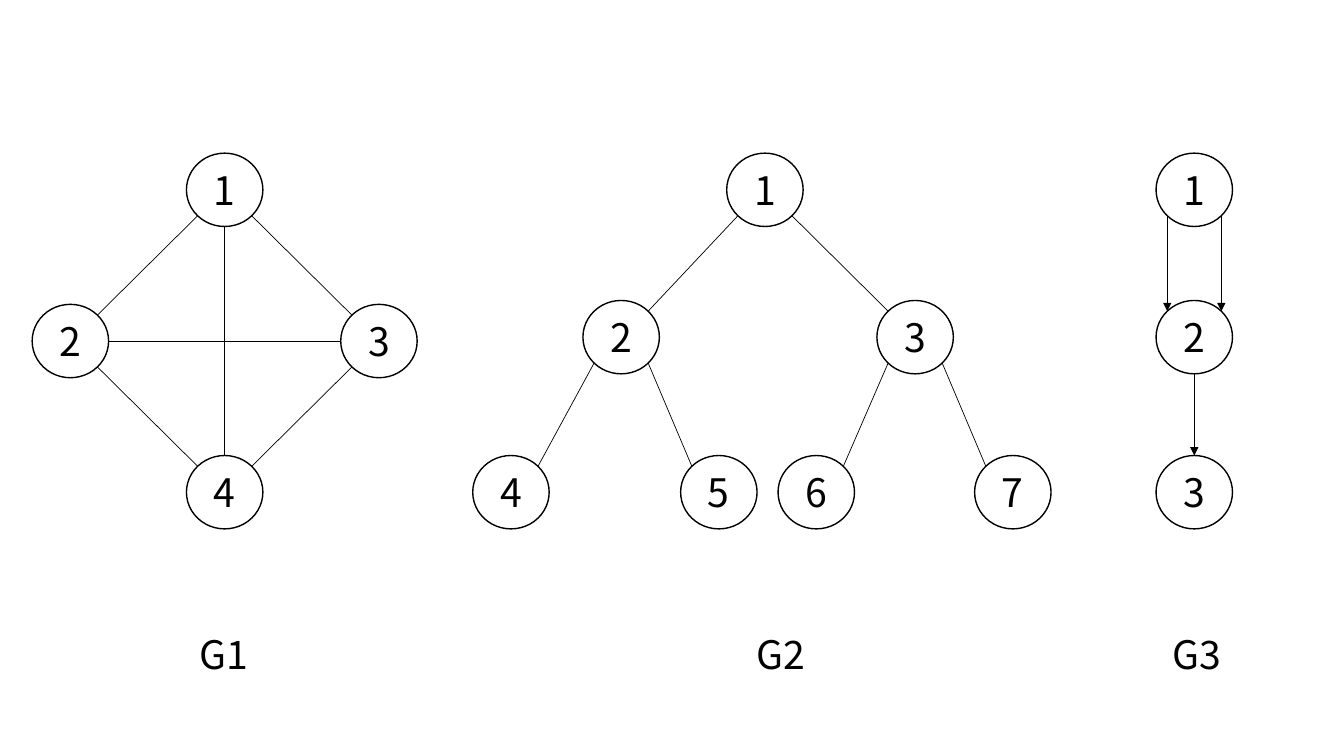
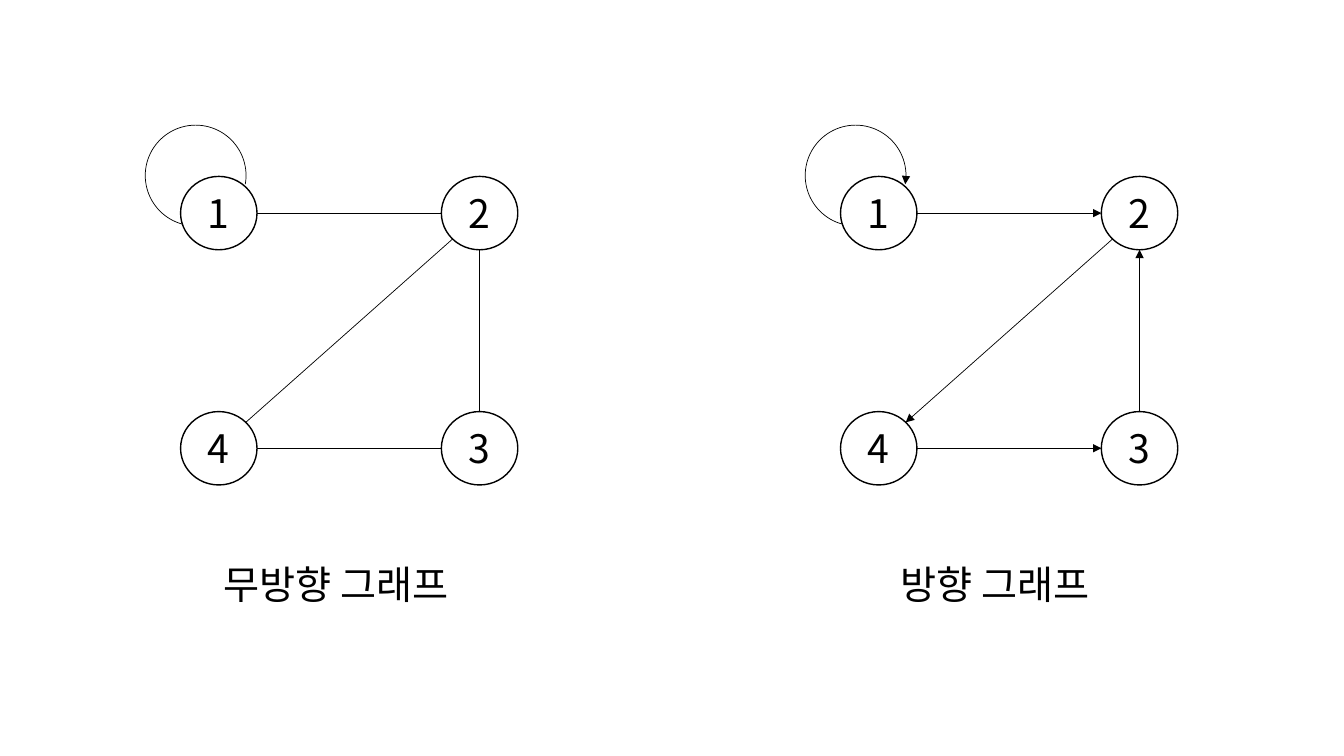
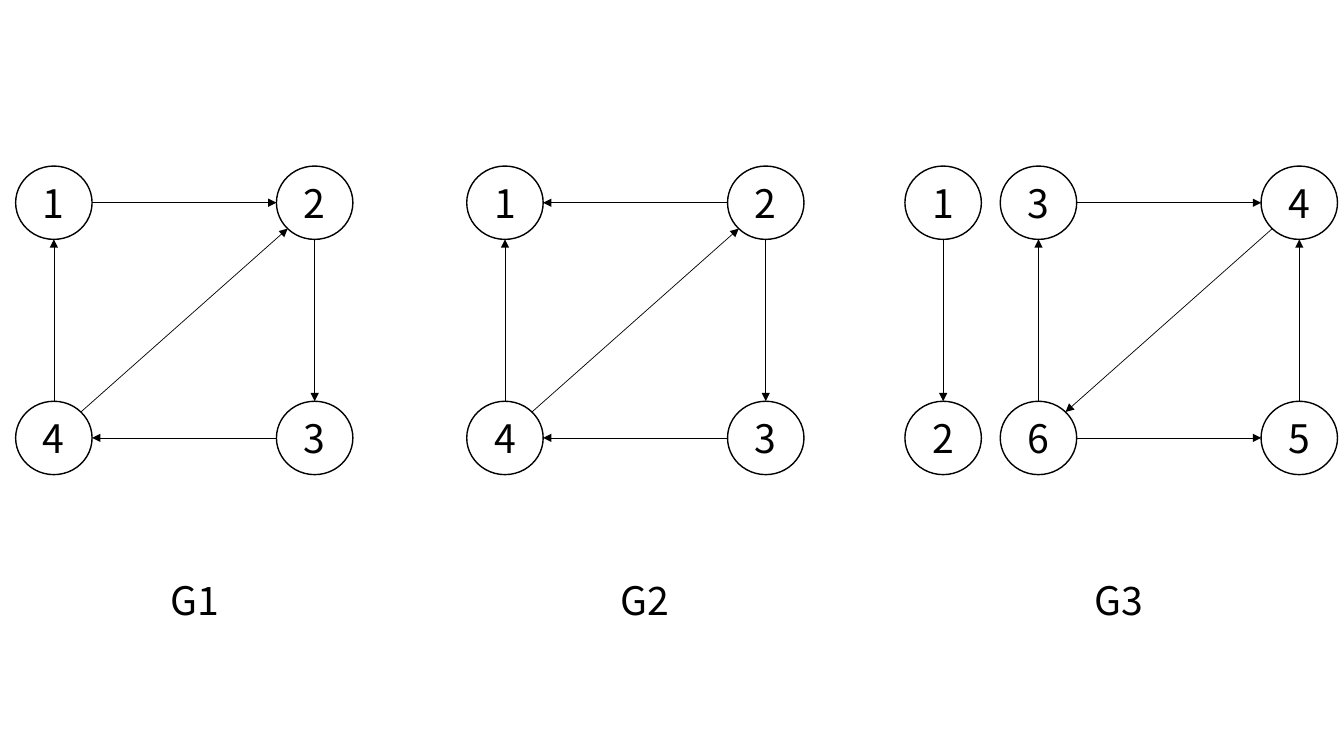
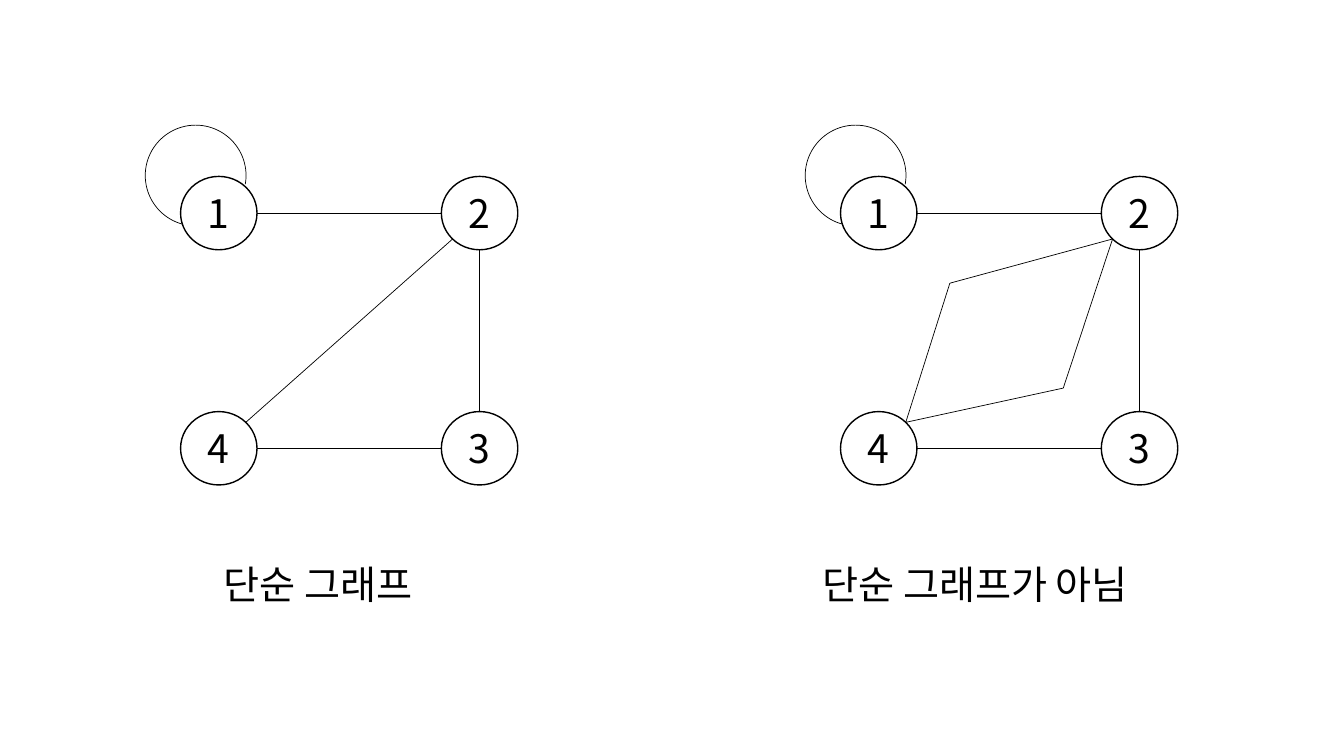
from dataclasses import dataclass
from typing import Optional

import lxml.etree
import pptx
import pptx.dml.color
import pptx.enum.shapes
import pptx.enum.text
import pptx.oxml.ns
import pptx.util

Pt = pptx.util.Pt
qn = pptx.oxml.ns.qn
Point = tuple[float, float]

FONT = "Noto Sans CJK KR"
FONT_SIZE = 28
INK = "000000"
NODE_WIDTH, NODE_HEIGHT = 54.6, 52.4
NODE_LINE, EDGE_LINE = 1, 0.5
SQUARE_STEP_X, SQUARE_STEP_Y = 186.3, 168
LOOP_OFFSET_X, LOOP_OFFSET_Y, LOOP_SIZE = -25.2, -36.6, 72
LOOP_ANGLES = (63.579, 5.97)
CAPTION_HEIGHT = 41

# Connection sites of an ellipse, by direction from its centre
SITES = {(0, -1): 0, (-1, -1): 1, (-1, 0): 2, (-1, 1): 3,
         (0, 1): 4, (1, 1): 5, (1, 0): 6, (1, -1): 7}


@dataclass(frozen=True)
class Edge:
    """side moves a parallel edge left (-1) or right (1); via bends the edge."""
    source: str
    target: str
    side: int = 0
    via: Optional[Point] = None


@dataclass(frozen=True)
class Caption:
    text: str
    left: float
    top: float
    width: float = 49.7


@dataclass(frozen=True)
class Graph:
    nodes: dict[str, Point]
    edges: list[Edge]
    caption: Caption
    directed: bool = False
    loop_on: Optional[str] = None


@dataclass(frozen=True)
class Anchor:
    """An end of a line: a point, and the node and site it is joined to, if any."""
    point: Point
    node: Optional[object] = None
    site: int = 0


def square(left: float, top: float, labels: str = "1234") -> dict[str, Point]:
    """Place four nodes clockwise from the top left."""
    right, bottom = left + SQUARE_STEP_X, top + SQUARE_STEP_Y
    corners = [(left, top), (right, top), (right, bottom), (left, bottom)]
    return dict(zip(labels, corners))


def edges(pairs: str) -> list[Edge]:
    """Read edges from pairs of labels, such as "12 23"."""
    return [Edge(source, target) for source, target in pairs.split()]


def rgb(colour: str) -> pptx.dml.color.RGBColor:
    return pptx.dml.color.RGBColor.from_string(colour)


def set_line(shape, width: float, arrow: bool = False) -> None:
    shape.line.color.rgb = rgb(INK)
    shape.line.width = Pt(width)
    if arrow:
        outline = shape._element.spPr.find(qn("a:ln"))
        lxml.etree.SubElement(outline, qn("a:tailEnd"), type="triangle")


def add_text(frame, text: str) -> None:
    run = frame.paragraphs[0].add_run()
    run.text = text
    run.font.size = Pt(FONT_SIZE)
    run.font.name = FONT
    run.font.color.rgb = rgb(INK)
    latin = run._r.rPr.find(qn("a:latin"))
    east_asian = lxml.etree.Element(qn("a:ea"), typeface=FONT)
    latin.addnext(east_asian)


def add_outline(slide, preset, left: float, top: float, width: float, height: float):
    shape = slide.shapes.add_shape(preset, Pt(left), Pt(top), Pt(width), Pt(height))
    shape.shadow.inherit = False
    shape.fill.background()
    return shape


def add_node(slide, label: str, position: Point):
    node = add_outline(slide, pptx.enum.shapes.MSO_SHAPE.OVAL, *position,
                       NODE_WIDTH, NODE_HEIGHT)
    set_line(node, NODE_LINE)
    node.text_frame.vertical_anchor = pptx.enum.text.MSO_ANCHOR.MIDDLE
    node.text_frame.paragraphs[0].alignment = pptx.enum.text.PP_ALIGN.CENTER
    add_text(node.text_frame, label)
    return node


def add_loop(slide, position: Point, directed: bool) -> None:
    left, top = position
    loop = add_outline(slide, pptx.enum.shapes.MSO_SHAPE.ARC, left + LOOP_OFFSET_X,
                       top + LOOP_OFFSET_Y, LOOP_SIZE, LOOP_SIZE)
    for index, angle in enumerate(LOOP_ANGLES):
        loop.adjustments[index] = angle
    set_line(loop, EDGE_LINE, directed)


def add_caption(slide, caption: Caption) -> None:
    box = slide.shapes.add_textbox(Pt(caption.left), Pt(caption.top),
                                   Pt(caption.width), Pt(CAPTION_HEIGHT))
    box.text_frame.word_wrap = False
    box.text_frame.auto_size = pptx.enum.text.MSO_AUTO_SIZE.SHAPE_TO_FIT_TEXT
    add_text(box.text_frame, caption.text)


def sign(value: float) -> int:
    return (value > 0) - (value < 0)


def anchor_on(node, position: Point, direction: tuple[int, int]) -> Anchor:
    """Find the point on a node's outline that lies in a direction."""
    across, down = direction
    reach = 0.5 ** 0.5 if across and down else 1
    point = (position[0] + NODE_WIDTH / 2 * (1 + reach * across),
             position[1] + NODE_HEIGHT / 2 * (1 + reach * down))
    return Anchor(point, node, SITES[direction])


def add_line(slide, start: Anchor, end: Anchor, arrow: bool) -> None:
    line = slide.shapes.add_connector(
        pptx.enum.shapes.MSO_CONNECTOR.STRAIGHT,
        *(Pt(value) for value in start.point + end.point))
    set_line(line, EDGE_LINE, arrow)
    lxml.etree.SubElement(line._element.spPr, qn("a:effectLst"))
    # begin_connect and end_connect know only the four sites of a rectangle
    joints = line._element.find(".//" + qn("p:cNvCxnSpPr"))
    for tag, anchor in (("a:stCxn", start), ("a:endCxn", end)):
        if anchor.node is not None:
            lxml.etree.SubElement(joints, qn(tag), id=str(anchor.node.shape_id),
                                  idx=str(anchor.site))


def add_edge(slide, graph: Graph, ovals: dict, edge: Edge) -> None:
    source, target = graph.nodes[edge.source], graph.nodes[edge.target]
    across, down = sign(target[0] - source[0]), sign(target[1] - source[1])
    start = anchor_on(ovals[edge.source], source, (edge.side or across, down))
    end = anchor_on(ovals[edge.target], target, (edge.side or -across, -down))
    if edge.via:
        bend = Anchor(edge.via)
        add_line(slide, start, bend, False)
        start = bend
    add_line(slide, start, end, graph.directed)


def add_graph(slide, graph: Graph) -> None:
    ovals = {label: add_node(slide, label, position)
             for label, position in graph.nodes.items()}
    for edge in graph.edges:
        add_edge(slide, graph, ovals, edge)
    if graph.loop_on:
        add_loop(slide, graph.nodes[graph.loop_on], graph.directed)
    add_caption(slide, graph.caption)


TOP, MIDDLE, UPPER_MIDDLE, BOTTOM = 109.4, 217.4, 214.6, 325.4
CHAIN_LEFT = 825.8
EXAMPLES = [
    Graph({"1": (133.2, TOP), "2": (23, MIDDLE), "3": (243.4, MIDDLE),
           "4": (133.2, BOTTOM)},
          edges("14 12 13 24 34 23"), Caption("G1", 135.4, 446.4)),
    Graph({"1": (519.1, TOP), "2": (416.4, UPPER_MIDDLE), "3": (626.4, UPPER_MIDDLE),
           "4": (337.7, BOTTOM), "5": (486.2, BOTTOM), "6": (555.8, BOTTOM),
           "7": (696.2, BOTTOM)},
          edges("12 13 24 25 36 37"), Caption("G2", 533.5, 446.4)),
    Graph({"1": (CHAIN_LEFT, TOP), "2": (CHAIN_LEFT, UPPER_MIDDLE),
           "3": (CHAIN_LEFT, BOTTOM)},
          [Edge("2", "3"), Edge("1", "2", side=-1), Edge("1", "2", side=1)],
          Caption("G3", 830.2, 446.4), directed=True),
]

LEFT_SQUARE, RIGHT_SQUARE = square(129, 126), square(600.4, 126)
PAIR_CAPTION_TOP = 396.7
DIRECTIONS = [
    Graph(LEFT_SQUARE, edges("12 43 23 42"),
          Caption("무방향 그래프", 152.6, PAIR_CAPTION_TOP, 194.4), loop_on="1"),
    Graph(RIGHT_SQUARE, edges("12 43 32 24"),
          Caption("방향 그래프", 636.5, PAIR_CAPTION_TOP, 165.6),
          directed=True, loop_on="1"),
]

TRIO_TOP, TRIO_CAPTION_TOP = 118.6, 408.2
SIDE_LEFT = 646.4
CONNECTIVITY = [
    Graph(square(11.2, TRIO_TOP), edges("12 34 23 42 41"),
          Caption("G1", 114.5, TRIO_CAPTION_TOP), directed=True),
    Graph(square(333.4, TRIO_TOP), edges("21 34 23 42 41"),
          Caption("G2", 436.3, TRIO_CAPTION_TOP), directed=True),
    Graph({"1": (SIDE_LEFT, TRIO_TOP), "2": (SIDE_LEFT, TRIO_TOP + SQUARE_STEP_Y),
           **square(714.5, TRIO_TOP, "3456")},
          edges("34 65 54 46 63 12"),
          Caption("G3", 774.7, TRIO_CAPTION_TOP), directed=True),
]

SIMPLICITY = [
    Graph(LEFT_SQUARE, edges("12 43 23 42"),
          Caption("단순 그래프", 152.6, PAIR_CAPTION_TOP, 165.6), loop_on="1"),
    Graph(RIGHT_SQUARE,
          edges("12 43 23") + [Edge("4", "2", via=(678.5, 202.3)),
                               Edge("4", "2", via=(759.5, 277.2))],
          Caption("단순 그래프가 아님", 580.3, PAIR_CAPTION_TOP, 260.6), loop_on="1"),
]


def main() -> None:
    deck = pptx.Presentation()
    deck.slide_width, deck.slide_height = Pt(960), Pt(540)
    blank = deck.slide_layouts[6]
    for graphs in (EXAMPLES, DIRECTIONS, CONNECTIVITY, SIMPLICITY):
        slide = deck.slides.add_slide(blank)
        for graph in graphs:
            add_graph(slide, graph)
    deck.save("out.pptx")


if __name__ == "__main__":
    main()
